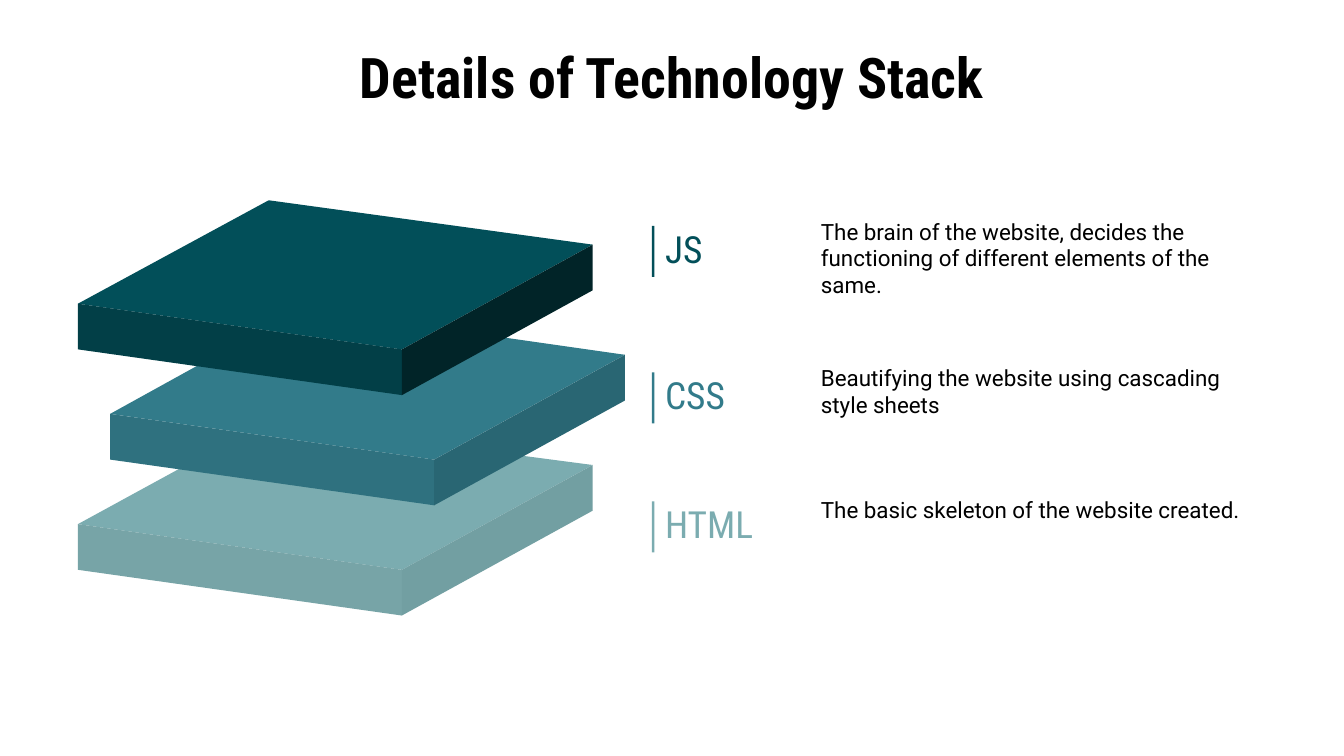
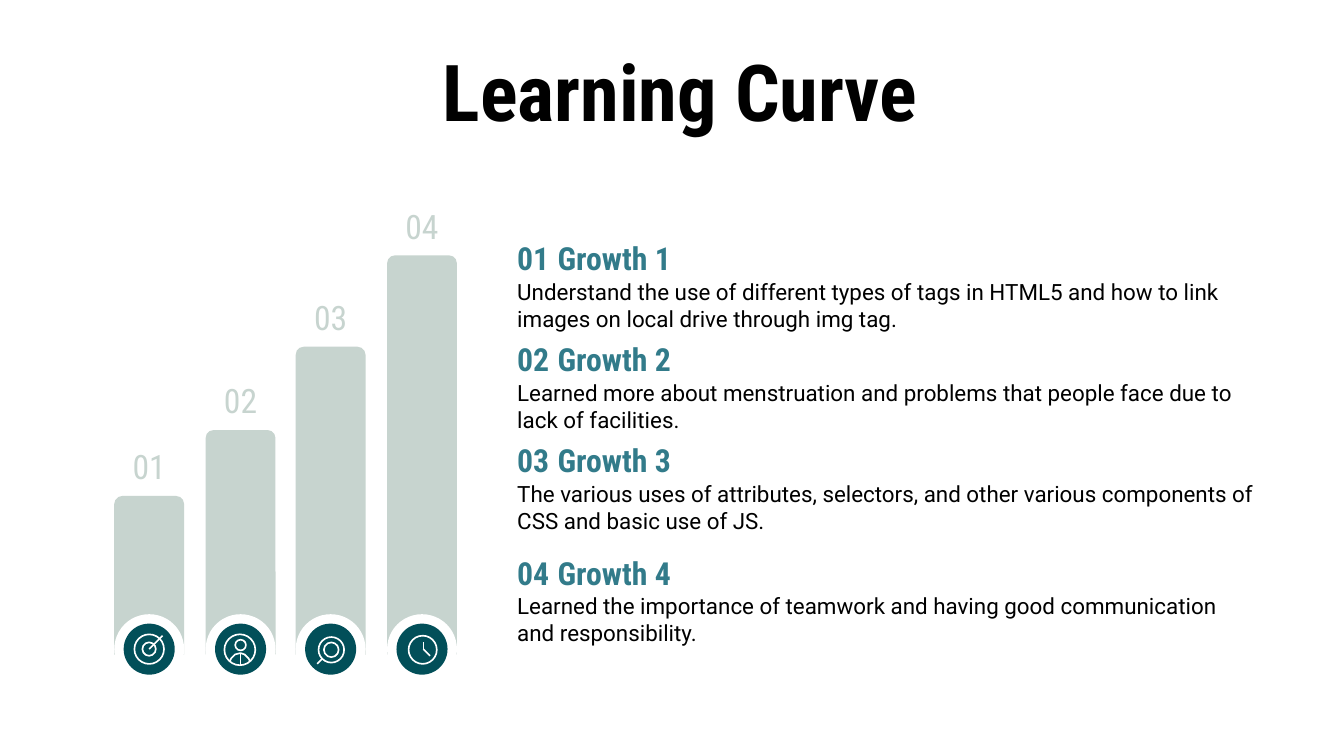
import dataclasses
import typing

import pptx
import pptx.dml.color
import pptx.enum.shapes
import pptx.enum.text
import pptx.oxml.xmlchemy
import pptx.shapes.autoshape
import pptx.slide
import pptx.util

PX = 9144  # EMU in one px: 100 px to the inch
SLIDE_WIDTH = 1000  # the height follows from 16:9
TITLE_ONLY = 5

WHITE, BLACK = "FFFFFF", "000000"
DEEP, TEAL, MIST, SAGE = "024F59", "327B8A", "7BACB0", "C7D4CF"
BODY_FONT, HEAD_FONT = "Roboto", "Roboto Condensed"

SHAPE = pptx.enum.shapes.MSO_SHAPE
LEFT, CENTER = pptx.enum.text.PP_ALIGN.LEFT, pptx.enum.text.PP_ALIGN.CENTER

Point = tuple[int, int]
Box = tuple[int, int, int, int]


@dataclasses.dataclass(frozen=True)
class TextStyle:
    size: int
    font: str = HEAD_FONT
    color: str = BLACK
    bold: bool = False
    align: typing.Any = LEFT


BODY = TextStyle(12, BODY_FONT)
GROWTH_HEAD = TextStyle(17, color=TEAL, bold=True)
BAR_NUMBER = TextStyle(18, color=SAGE, align=CENTER)


@dataclasses.dataclass(frozen=True)
class Layer:
    """A slab of the stack with its label; back holds the visible rear outline."""
    name: str
    detail: str
    left_corner: Point
    back: tuple[Point, ...]
    top_color: str
    front_color: str
    side_color: str
    label_top: int
    detail_top: int


@dataclasses.dataclass(frozen=True)
class Icon:
    """Circles (x, y, diameter) and strokes, measured from the badge centre."""
    circles: tuple[tuple[int, int, int], ...]
    strokes: tuple[tuple[Point, ...], ...]


@dataclasses.dataclass(frozen=True)
class Growth:
    bar_top: int
    text_top: int
    lesson: str
    icon: Icon


LAYERS = (
    Layer("HTML", "The basic skeleton of the website created.",
          (58, 390), ((135, 348), (323, 375), (388, 339)),
          MIST, "77A4A7", "729FA2", 363, 359),
    Layer("CSS", "Beautifying the website using cascading style sheets",
          (82, 308), ((149, 271), (299, 292), (374, 251)),
          TEAL, "2F717F", "296673", 267, 261),
    Layer("JS", "The brain of the website, decides the functioning of "
          "different elements of the same.",
          (58, 226), ((200, 149),),
          DEEP, "023F47", "012428", 158, 152),
)

TARGET = Icon(((-11, -11, 22), (-5, -5, 10)), (((0, 0), (10, -10)),))
PERSON = Icon(
    ((-4, -7, 8), (-12, -11, 23)),
    (((-8, 9), (-7, 7), (-4, 4), (0, 3), (3, 4), (6, 7), (7, 9)),
     ((0, 12), (0, 3))))
SEARCH = Icon(((-9, -9, 19), (-5, -5, 11)), (((-10, 11), (-6, 7)),))
CLOCK = Icon(((-10, -10, 21),), (((1, 0), (6, 5)), ((1, -5), (1, 0))))

GROWTHS = (
    Growth(369, 168, "Understand the use of different types of tags in HTML5 "
           "and how to link images on local drive through img tag.", TARGET),
    Growth(258 + 62, 243, "Learned more about menstruation and problems that "
           "people face due to lack of facilities.", PERSON),
    Growth(258, 318, "The various uses of attributes, selectors, and other "
           "various components of CSS and basic use of JS.", SEARCH),
    Growth(190, 402, "Learned the importance of teamwork and having good "
           "communication and responsibility.", CLOCK),
)

BAR_LEFT, BAR_SPAN, BAR_WIDTH, BAR_BOTTOM = 85, 203, 52, 487
BADGE_Y = 483
ICON_LINE = pptx.util.Pt(0.88)


def emu(px: int) -> pptx.util.Emu:
    return pptx.util.Emu(px * PX)


def rgb(color: str) -> pptx.dml.color.RGBColor:
    return pptx.dml.color.RGBColor.from_string(color)


def write(frame: typing.Any, text: str, style: TextStyle, wrap: bool = True) -> None:
    frame_format = {
        "auto_size": pptx.enum.text.MSO_AUTO_SIZE.NONE,
        "vertical_anchor": pptx.enum.text.MSO_ANCHOR.TOP,
        "word_wrap": wrap,
        **{f"margin_{side}": emu(10) for side in ("left", "top", "right", "bottom")},
    }
    for name, value in frame_format.items():
        setattr(frame, name, value)
    paragraph = frame.paragraphs[0]
    paragraph.alignment = style.align
    run = paragraph.add_run()
    run.text = text
    font_format = {"name": style.font, "size": pptx.util.Pt(style.size),
                   "bold": style.bold}
    for name, value in font_format.items():
        setattr(run.font, name, value)
    run.font.color.rgb = rgb(style.color)


def add_text(shapes: typing.Any, box: Box, text: str, style: TextStyle,
             wrap: bool = True) -> None:
    write(shapes.add_textbox(*map(emu, box)).text_frame, text, style, wrap)


def paint(shape: pptx.shapes.autoshape.Shape, color: str) -> None:
    """Give a shape a plain fill with no outline."""
    shape.shadow.inherit = False
    shape.fill.solid()
    shape.fill.fore_color.rgb = rgb(color)
    shape.line.fill.background()


def outline(shape: pptx.shapes.autoshape.Shape) -> None:
    """Leave a shape unfilled, with the thin white icon line."""
    shape.shadow.inherit = False
    shape.fill.background()
    shape.line.color.rgb = rgb(WHITE)
    shape.line.width = ICON_LINE


def add_preset(shapes: typing.Any, kind: typing.Any,
               box: Box) -> pptx.shapes.autoshape.Shape:
    return shapes.add_shape(kind, *map(emu, box))


def add_outline_path(shapes: typing.Any, points: typing.Sequence[Point],
                     close: bool = True) -> pptx.shapes.autoshape.Shape:
    builder = shapes.build_freeform(*points[0], scale=float(PX))
    builder.add_line_segments(points[1:], close=close)
    return builder.convert_to_shape()


def add_titled_slide(deck: typing.Any, title: str, box: Box,
                     size: int) -> pptx.slide.Slide:
    slide = deck.slides.add_slide(deck.slide_layouts[TITLE_ONLY])
    heading = slide.shapes.title
    for name, value in zip(("left", "top", "width", "height"), box):
        setattr(heading, name, emu(value))
    write(heading.text_frame, title, TextStyle(size, bold=True, align=CENTER))
    return slide


def add_layer(shapes: typing.Any, layer: Layer) -> None:
    depth = 34
    x, y = layer.left_corner
    left, front, right = (x, y), (x + 241, y + 34), (x + 383, y - 44)
    left_low, front_low, right_low = (
        (corner_x, corner_y + depth) for corner_x, corner_y in (left, front, right))
    faces = (
        ((left, *layer.back, right, front), layer.top_color),
        ((left, left_low, front_low, front), layer.front_color),
        ((right, front, front_low, right_low), layer.side_color),
    )
    for points, color in faces:
        paint(add_outline_path(shapes, points), color)
    accent = add_preset(shapes, SHAPE.RECTANGLE, (485, layer.label_top + 10, 2, 38))
    paint(accent, layer.top_color)
    add_text(shapes, (485, layer.label_top, 142, 39), layer.name,
             TextStyle(20, color=layer.top_color))
    add_text(shapes, (601, layer.detail_top, 356, 82), layer.detail, BODY)


def add_stroke(shapes: typing.Any, points: typing.Sequence[Point]) -> None:
    if len(points) > 2:
        outline(add_outline_path(shapes, points, close=False))
        return
    stroke = shapes.add_connector(
        pptx.enum.shapes.MSO_CONNECTOR.STRAIGHT,
        *(emu(value) for point in points for value in point))
    stroke.line.color.rgb = rgb(WHITE)
    stroke.line.width = ICON_LINE
    stroke._element.spPr.append(pptx.oxml.xmlchemy.OxmlElement("a:effectLst"))


def add_badge(shapes: typing.Any, center_x: int, icon: Icon) -> None:
    for diameter, color in ((BAR_WIDTH, WHITE), (38, DEEP)):
        radius = diameter // 2
        disc = add_preset(shapes, SHAPE.OVAL, (center_x - radius, BADGE_Y - radius,
                                               diameter, diameter))
        paint(disc, color)
    for x, y, diameter in icon.circles:
        outline(add_preset(shapes, SHAPE.OVAL, (center_x + x, BADGE_Y + y,
                                                diameter, diameter)))
    for stroke in icon.strokes:
        add_stroke(shapes, [(center_x + x, BADGE_Y + y) for x, y in stroke])


def add_growth(shapes: typing.Any, index: int, growth: Growth) -> None:
    """Draw one bar with its number and badge, and the lesson beside it."""
    number = f"{index + 1:02d}"
    left = BAR_LEFT + round(BAR_SPAN * index / (len(GROWTHS) - 1))
    bar = add_preset(shapes, SHAPE.ROUND_2_SAME_RECTANGLE,
                     (left, growth.bar_top, BAR_WIDTH, BAR_BOTTOM - growth.bar_top))
    bar.adjustments[0] = 6 / BAR_WIDTH
    paint(bar, SAGE)
    add_badge(shapes, left + BAR_WIDTH // 2, growth.icon)
    add_text(shapes, (left, growth.bar_top - 47, BAR_WIDTH, 38), number, BAR_NUMBER)

    entry = shapes.add_group_shape().shapes
    top = growth.text_top
    add_text(entry, (375, top, 44, 46), number, GROWTH_HEAD, wrap=False)
    add_text(entry, (375, top + 29, 572, 50), growth.lesson, BODY)
    add_text(entry, (405, top, 219, 46), f"Growth {index + 1}", GROWTH_HEAD)


def main() -> None:
    deck = pptx.Presentation()
    deck.slide_width = emu(SLIDE_WIDTH)
    deck.slide_height = pptx.util.Emu(deck.slide_width * 9 // 16)

    stack = add_titled_slide(deck, "Details of Technology Stack",
                             (253, 22, 494, 68), 30)
    for layer in LAYERS:
        add_layer(stack.shapes, layer)

    curve = add_titled_slide(deck, "Learning Curve", (253, 22, 506, 120), 42)
    for index, growth in enumerate(GROWTHS):
        add_growth(curve.shapes, index, growth)

    deck.save("out.pptx")


if __name__ == "__main__":
    main()
